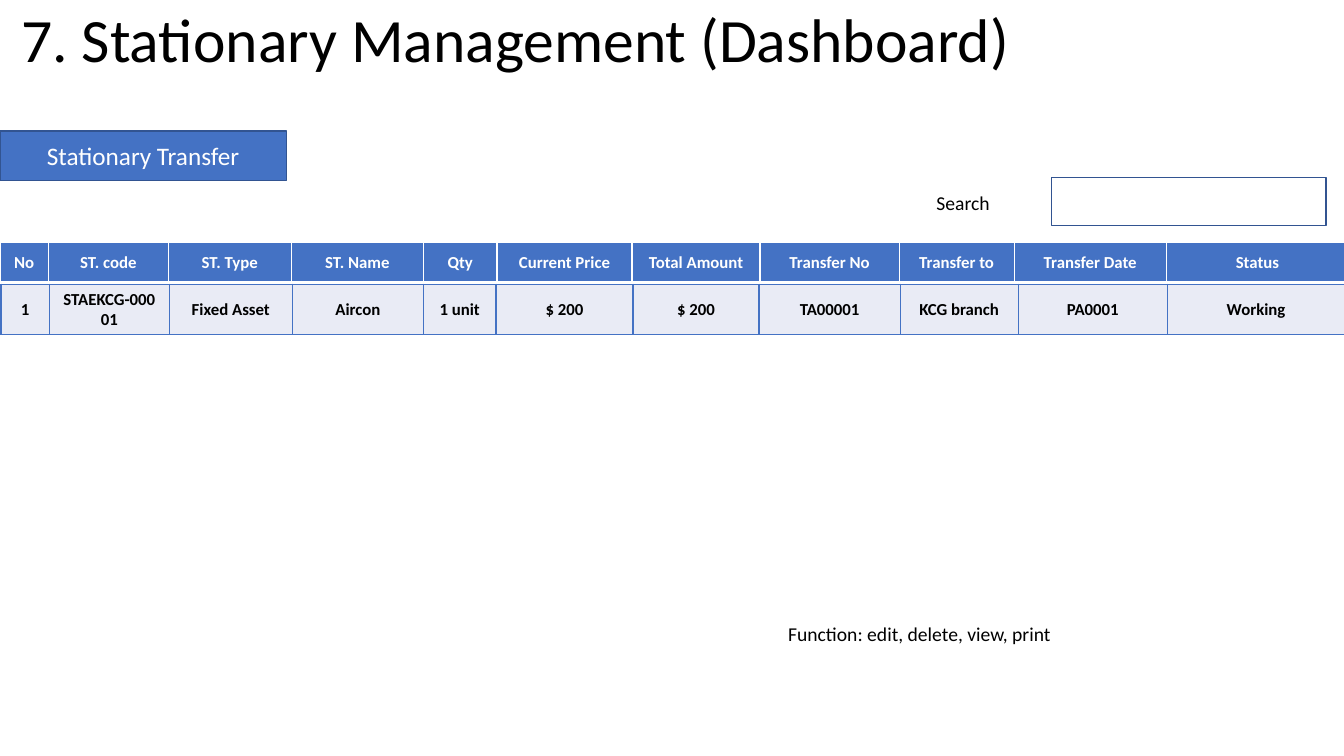
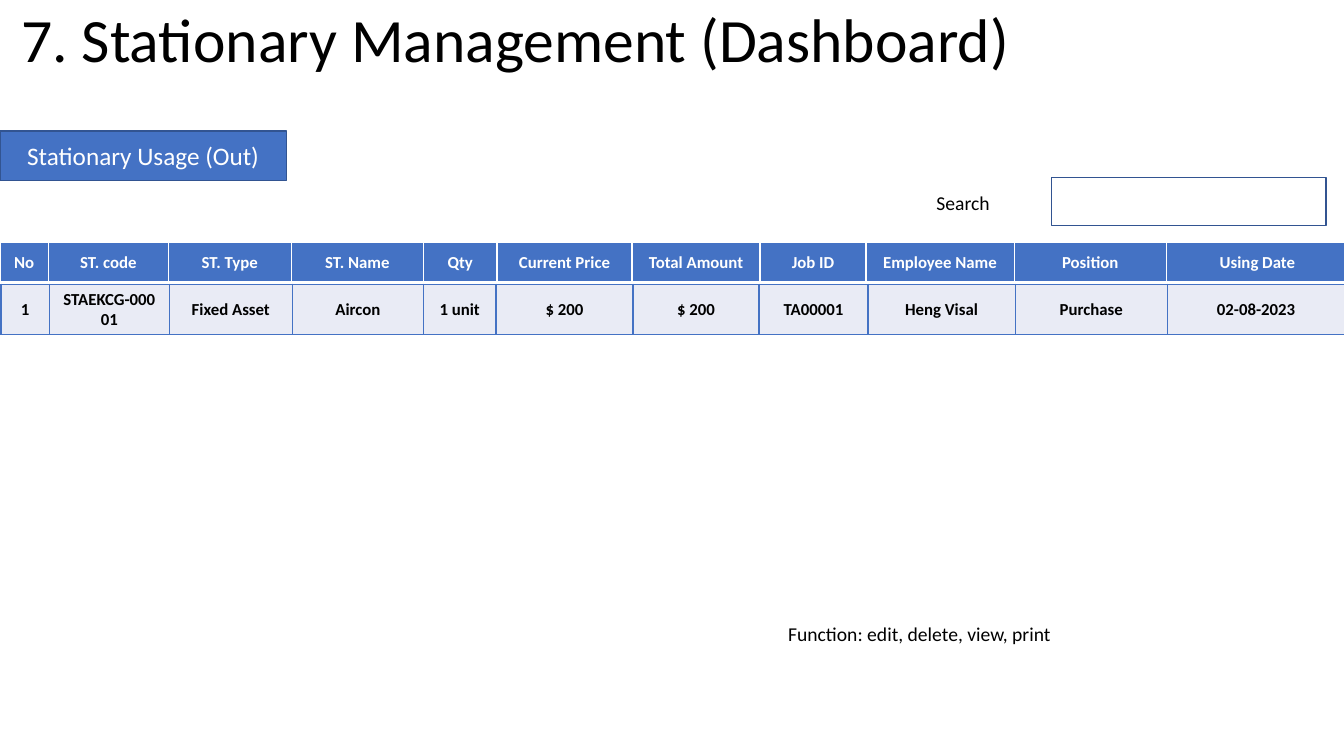
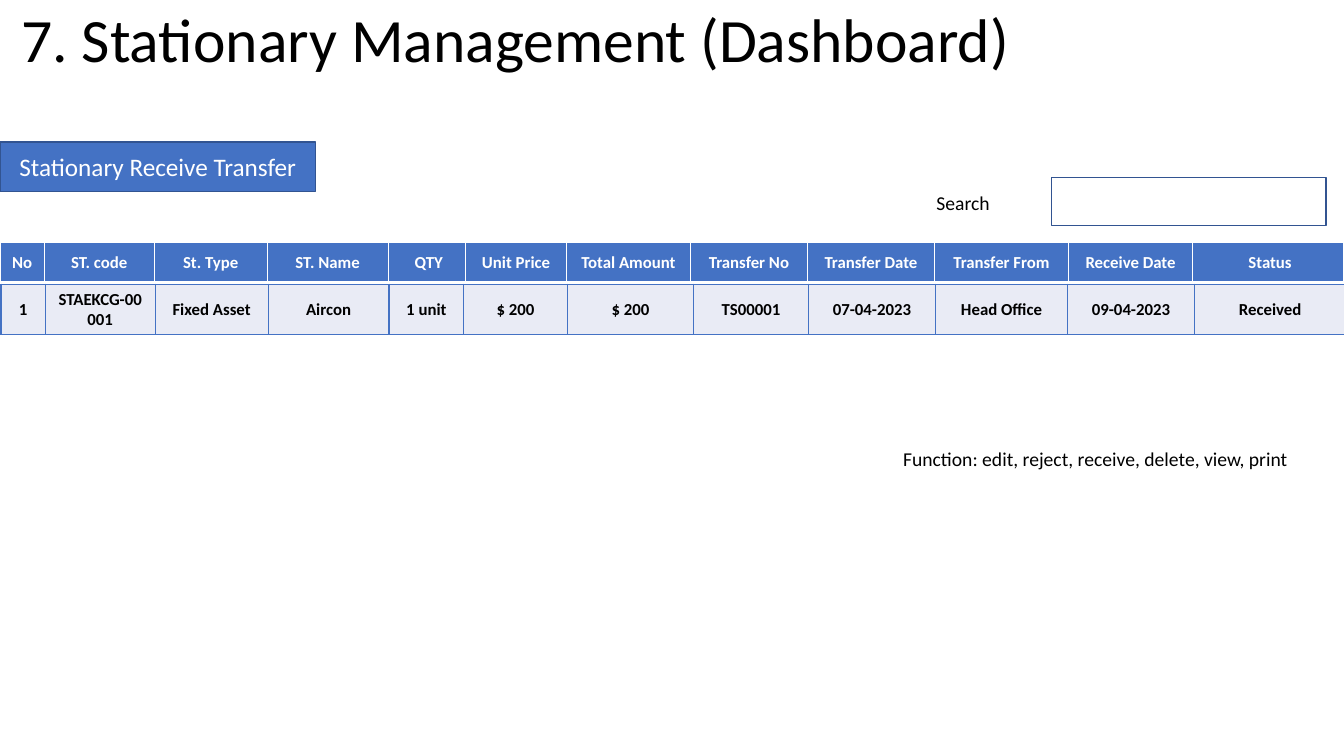
"""Build three stationary management dashboard slides."""
import pptx
import pptx.dml.color
import pptx.enum.shapes
import pptx.enum.text
import pptx.oxml
import pptx.oxml.ns
import pptx.util

Inches = pptx.util.Inches
Pt = pptx.util.Pt
PP_ALIGN = pptx.enum.text.PP_ALIGN
MSO_ANCHOR = pptx.enum.text.MSO_ANCHOR

FONT = "Calibri"
BLUE, EDGE, PALE = "4472C4", "325491", "E9EBF5"
WHITE, BLACK = "FFFFFF", "000000"
TITLE = "7. Stationary Management (Dashboard)"

HEADER_BORDERS = {"L": (WHITE, 1), "R": (WHITE, 1), "T": (WHITE, 1), "B": (WHITE, 3)}
RECORD_BORDERS = {side: (BLUE, 1) for side in "LRTB"}

ITEM_HEADERS = ["No", "ST. code", "ST. Type", "ST. Name", "Qty", "Current Price", "Total Amount"]
ITEM_RECORD = ["1", "STAEKCG-00001", "Fixed Asset", "Aircon", "1 unit", "$ 200", "$ 200"]
ITEM_HEADER_COLS = [0.48, 1.19, 1.22, 1.31, 0.73, 1.34, 1.27]
ITEM_RECORD_COLS = [0.48, 1.19, 1.22, 1.3, 0.72, 1.36, 1.25]
FUNCTIONS = "Function: edit, delete, view, print"
FUNCTIONS_BOX = (6.22, 6.04, 5.8, 0.49)
SECTION_BOX = (0, 1.3, 2.84, 0.49)

DASHBOARDS = [
    {
        "section": "Stationary Transfer",
        "section_box": SECTION_BOX,
        "headers": ITEM_HEADERS + ["Transfer No", "Transfer to", "Transfer Date", " Status"],
        "header_cols": ITEM_HEADER_COLS + [1.38, 1.14, 1.51, 1.77],
        "record": ITEM_RECORD + ["TA00001", "KCG branch", "PA0001", "Working"],
        "record_cols": ITEM_RECORD_COLS + [1.4, 1.17, 1.48, 1.76],
        "functions": FUNCTIONS,
        "functions_box": FUNCTIONS_BOX,
    },
    {
        "section": "Stationary Usage (Out)",
        "section_box": SECTION_BOX,
        "headers": ITEM_HEADERS + ["Job ID", "Employee Name", "Position", " Using Date"],
        "header_cols": ITEM_HEADER_COLS + [1.05, 1.47, 1.51, 1.77],
        "record": ITEM_RECORD + ["TA00001", "Heng Visal", "Purchase", "02-08-2023"],
        "record_cols": ITEM_RECORD_COLS + [1.08, 1.46, 1.51, 1.76],
        "functions": FUNCTIONS,
        "functions_box": FUNCTIONS_BOX,
    },
    {
        "section": "Stationary Receive Transfer",
        "section_box": (0, 1.41, 3.13, 0.49),
        "headers": ["No", "ST. code", "St. Type", "ST. Name", " QTY", "Unit Price",
                    "Total Amount", "Transfer No", "Transfer Date", "Transfer From",
                    "Receive Date", " Status"],
        "header_cols": [0.44, 1.09, 1.12, 1.2, 0.77, 1, 1.23, 1.16, 1.26, 1.33, 1.23, 1.5],
        "record": ITEM_RECORD + ["TS00001", "07-04-2023", "Head Office", "09-04-2023", "Received"],
        "record_cols": [0.44, 1.09, 1.12, 1.2, 0.74, 1.03, 1.25, 1.14, 1.26, 1.31, 1.26, 1.5],
        "functions": "Function: edit, reject, receive, delete, view, print",
        "functions_box": (8.69, 4.31, 4.35, 0.49),
    },
]


def rgb(value):
    """Return the colour for a hex string."""
    return pptx.dml.color.RGBColor.from_string(value)


def write(tf, text, size=14, color=BLACK, bold=False, align=PP_ALIGN.CENTER, spacing=None):
    """Write one formatted paragraph into a text frame."""
    p = tf.paragraphs[0]
    p.alignment = align
    p.line_spacing = spacing
    r = p.add_run()
    r.text = text
    r.font.name = FONT
    r.font.size = Pt(size)
    r.font.bold = bold
    r.font.color.rgb = rgb(color)


def add_title(s):
    """Place and format the title placeholder."""
    sp = s.shapes.title
    sp.left, sp.top, sp.width, sp.height = map(Inches, (0.11, 0.04, 11.5, 0.85))
    tf = sp.text_frame
    tf.word_wrap = True
    tf.auto_size = pptx.enum.text.MSO_AUTO_SIZE.NONE
    tf.vertical_anchor = MSO_ANCHOR.TOP
    write(tf, TITLE, size=44, align=PP_ALIGN.LEFT, spacing=0.9)


def add_rect(s, box, fill=None):
    """Add an outlined rectangle and return it."""
    sp = s.shapes.add_shape(pptx.enum.shapes.MSO_SHAPE.RECTANGLE, *map(Inches, box))
    sp.shadow.inherit = False
    sp.line.color.rgb = rgb(EDGE)
    sp.line.width = Pt(1)
    if fill:
        sp.fill.solid()
        sp.fill.fore_color.rgb = rgb(fill)
    else:
        sp.fill.background()
    return sp


def add_section(s, text, box):
    """Add the filled section label."""
    tf = add_rect(s, box, fill=BLUE).text_frame
    tf.word_wrap = True
    tf.vertical_anchor = MSO_ANCHOR.MIDDLE
    write(tf, text, size=18, color=WHITE)


def add_label(s, text, box):
    """Add a centred text box."""
    tf = s.shapes.add_textbox(*map(Inches, box)).text_frame
    tf.word_wrap = True
    tf.vertical_anchor = MSO_ANCHOR.MIDDLE
    write(tf, text)


def set_borders(cell, borders):
    """Draw the given borders around a table cell."""
    tcPr = cell._tc.get_or_add_tcPr()
    for side, (color, width) in borders.items():
        tcPr.append(pptx.oxml.parse_xml(
            f'<a:ln{side} {pptx.oxml.ns.nsdecls("a")} w="{Pt(width)}">'
            f'<a:solidFill><a:srgbClr val="{color}"/></a:solidFill></a:ln{side}>'))


def add_row_table(s, texts, cols, left, top, height, fill, color, borders):
    """Add a table with a single row of bold centred cells."""
    frame = s.shapes.add_table(1, len(cols), *map(Inches, (left, top, sum(cols), height)))
    table = frame.table
    table.first_row = table.horz_banding = False
    for column, width, cell, text in zip(table.columns, cols, table.rows[0].cells, texts):
        column.width = Inches(width)
        set_borders(cell, borders)
        cell.fill.solid()
        cell.fill.fore_color.rgb = rgb(fill)
        cell.vertical_anchor = MSO_ANCHOR.MIDDLE
        write(cell.text_frame, text, size=12, color=color, bold=True)


def add_dashboard(prs, section, section_box, headers, header_cols, record, record_cols,
                  functions, functions_box):
    """Add one dashboard slide."""
    s = prs.slides.add_slide(prs.slide_layouts[5])
    add_title(s)
    add_section(s, section, section_box)
    add_row_table(s, headers, header_cols, 0, 2.4, 0.41, BLUE, WHITE, HEADER_BORDERS)
    add_label(s, functions, functions_box)
    add_row_table(s, record, record_cols, 0.01, 2.82, 0.5, PALE, BLACK, RECORD_BORDERS)
    add_rect(s, (10.43, 1.76, 2.72, 0.48))
    add_label(s, "Search ", (8.69, 1.77, 1.77, 0.49))


def main():
    """Build and save the presentation."""
    prs = pptx.Presentation()
    prs.slide_width, prs.slide_height = Inches(13.33), Inches(7.5)
    for dashboard in DASHBOARDS:
        add_dashboard(prs, **dashboard)
    prs.save("out.pptx")


if __name__ == "__main__":
    main()
